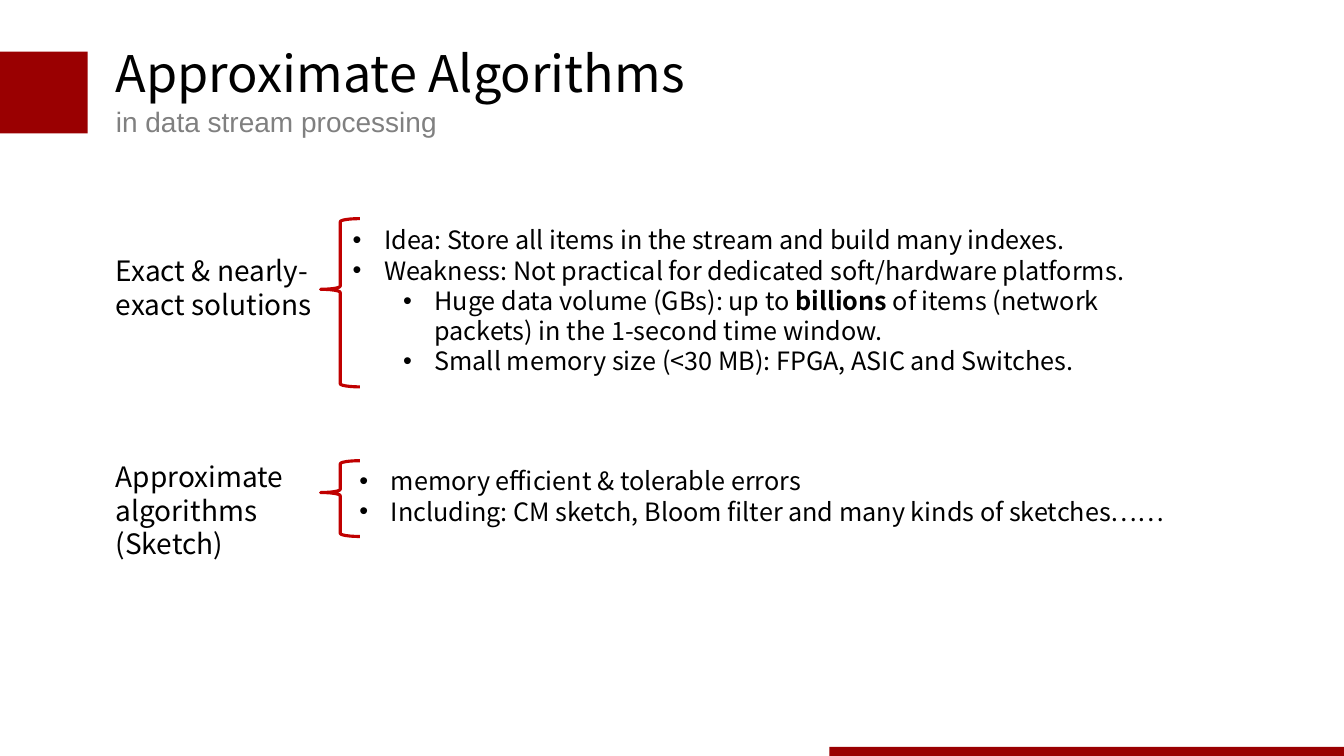
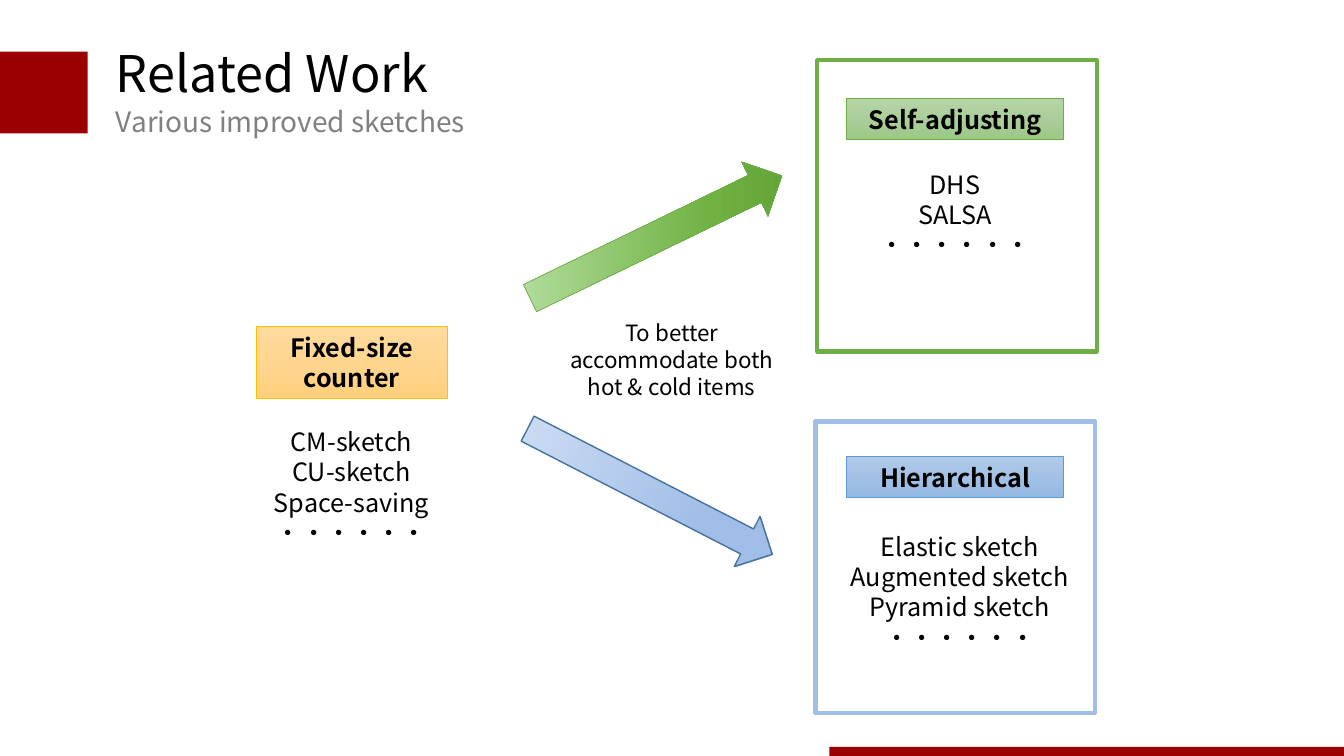
from pptx import Presentation
from pptx.dml.color import RGBColor
from pptx.enum.shapes import MSO_SHAPE as Shape
from pptx.enum.text import MSO_ANCHOR as Anchor, PP_ALIGN as Align
from pptx.oxml import parse_xml
from pptx.oxml.ns import nsdecls, qn
from pptx.util import Cm, Pt
from lxml import etree

COLORS = {
    "band": "9A0001", "brace": "C00000", "text": "000000", "subtitle": "808080",
    "green": "70AD47", "blue": "5B9BD5", "pale blue": "A1BEE9",
    "dark blue": "43739E", "gold": "FFC000",
}
# Gradients: stops as (position, colour, opacity), angle, turns with the shape
GRADIENTS = {
    "gold label": ([(0, "FFDB9E", 100), (50, "FFD590", 100), (100, "FFD07C", 100)], 90, 1),
    "green label": ([(0, "B5D5A7", 100), (50, "AACE9A", 100), (100, "9CC987", 100)], 90, 1),
    "blue label": ([(0, "B1CBE9", 100), (50, "A3C1E5", 100), (100, "93B9E4", 100)], 90, 1),
    "green arrow": ([(0, "B2DC9D", 100), (70, "6FB242", 100), (100, "62A336", 100)], 0, 0),
    "blue arrow": ([(0, "A1BEE9", 50), (70, "A1BEE9", 100), (100, "A1BEE9", 100)], 90, 1),
}
FONT = "Noto Sans CJK SC"
LEFT = 2.67
INDENT, LEVEL_STEP = 0.79, 1.27


def add_shape(slide, kind, box, fill=None, line=None, width=0.5):
    shape = slide.shapes.add_shape(kind, *map(Cm, box))
    shape.shadow.inherit = False
    if fill in GRADIENTS:
        stops, angle, turns = GRADIENTS[fill]
        stop_xml = "".join(
            f'<a:gs pos="{position * 1000}"><a:srgbClr val="{color}">'
            f'<a:alpha val="{opacity * 1000}"/></a:srgbClr></a:gs>'
            for position, color, opacity in stops)
        shape._element.spPr.find(qn("a:prstGeom")).addnext(parse_xml(
            f'<a:gradFill {nsdecls("a")} rotWithShape="{turns}"><a:gsLst>{stop_xml}</a:gsLst>'
            f'<a:lin ang="{angle * 60000}" scaled="0"/></a:gradFill>'))
    elif fill:
        shape.fill.solid()
        shape.fill.fore_color.rgb = RGBColor.from_string(COLORS[fill])
    else:
        shape.fill.background()
    if line:
        shape.line.color.rgb = RGBColor.from_string(COLORS[line])
        shape.line.width = Pt(width)
    else:
        shape.line.fill.background()
    return shape


def write_text(shape, lines, size=18, color="text", font=FONT, align=Align.LEFT,
               bold=False, anchor=Anchor.TOP, bullets=False):
    """Write one paragraph per line; * toggles bold, a leading tab lowers the level."""
    frame = shape.text_frame
    frame.word_wrap, frame.vertical_anchor = True, anchor
    for number, line in enumerate(lines):
        paragraph = frame.paragraphs[0] if number == 0 else frame.add_paragraph()
        paragraph.alignment = align
        if bullets:
            paragraph.level = line.count("\t")
            properties = paragraph._p.get_or_add_pPr()
            properties.set("marL", str(Cm(INDENT + LEVEL_STEP * paragraph.level)))
            properties.set("indent", str(-Cm(INDENT)))
            etree.SubElement(properties, qn("a:buFont")).set("typeface", "Arial")
            etree.SubElement(properties, qn("a:buChar")).set("char", "•")
        for part, text in enumerate(line.strip().split("*")):
            run = paragraph.add_run()
            run.text = text
            values = {"size": Pt(size), "name": font, "bold": bold or part % 2 == 1}
            for name, value in values.items():
                setattr(run.font, name, value)
            run.font.color.rgb = RGBColor.from_string(COLORS[color])
            east_asian = etree.SubElement(run._r.get_or_add_rPr(), qn("a:ea"))
            east_asian.set("typeface", font)


presentation = Presentation()
presentation.slide_width, presentation.slide_height = Cm(33.87), Cm(19.05)

# Title, subtitle and bands of every slide
slides = []
for title, subtitle, subtitle_font in [
    ("Approximate Algorithms", "in data stream processing", "Arial"),
    ("Related Work", "Various improved sketches", FONT),
]:
    slide = presentation.slides.add_slide(presentation.slide_layouts[6])
    slides.append(slide)
    title_box = slide.shapes.add_textbox(Cm(LEFT), Cm(0.94), Cm(15.57), Cm(1.8))
    write_text(title_box, [title], size=36)
    subtitle_box = slide.shapes.add_textbox(Cm(LEFT), Cm(2.51), Cm(14.17), Cm(1.12))
    write_text(subtitle_box, [subtitle], size=20, color="subtitle", font=subtitle_font)
    add_shape(slide, Shape.RECTANGLE, (0, 1.3, 2.21, 2.06), "band")
    add_shape(slide, Shape.RECTANGLE, (20.9, 18.82, 12.97, 0.23), "band")
algorithms_slide, related_slide = slides

# Approximate Algorithms: label, brace and bullets of each group
for label, label_top, label_width, brace_top, brace_height, bullet_box, bullets in [
    (["Exact & nearly-exact solutions"], 6.27, 5.92, 5.51, 4.24, (8.64, 5.54, 20.7, 4.88), [
        "Idea: Store all items in the stream and build many indexes.",
        "Weakness: Not practical for dedicated soft/hardware platforms.",
        "\tHuge data volume (GBs): up to *billions* of items (network packets) "
        "in the 1-second time window.",
        "\tSmall memory size (<30 MB): FPGA, ASIC and Switches.",
    ]),
    (["Approximate algorithms", "(Sketch)"], 11.46, 5.41, 11.61, 1.91, (8.81, 11.61, 21.9, 1.8), [
        "memory efficient & tolerable errors",
        "Including: CM sketch, Bloom filter and many kinds of sketches……",
    ]),
]:
    brace = add_shape(algorithms_slide, Shape.LEFT_BRACE, (8.08, brace_top, 0.99, brace_height),
                      line="brace", width=2.25)
    brace.adjustments[0], brace.adjustments[1] = 0.08, 0.42
    label_box = algorithms_slide.shapes.add_textbox(
        Cm(LEFT), Cm(label_top), Cm(label_width), Cm(2.82))
    write_text(label_box, label, size=20)
    write_text(algorithms_slide.shapes.add_textbox(*map(Cm, bullet_box)), bullets, bullets=True)

# Related Work: frames of the two improved families
for frame_box, color in [((20.6, 1.52, 7.04, 7.34), "green"),
                         ((20.55, 10.62, 7.04, 7.34), "pale blue")]:
    add_shape(related_slide, Shape.RECTANGLE, frame_box, line=color, width=3)

# Coloured heading and sketch names of each family
for heading, heading_box, fill, line, names, names_box in [
    (["Fixed-size", "counter"], (6.45, 8.23, 4.83, 1.8), "gold label", "gold",
     ["CM-sketch", "CU-sketch", "Space-saving"], (5.94, 10.62, 5.84, 3.33)),
    (["Self-adjusting"], (21.34, 2.49, 5.46, 1.02), "green label", "green",
     ["DHS", "SALSA"], (21.59, 4.14, 4.95, 2.57)),
    (["Hierarchical"], (21.34, 11.51, 5.46, 1.02), "blue label", "blue",
     ["Elastic sketch", "Augmented sketch", "Pyramid sketch"], (20.17, 13.26, 8.03, 3.33)),
]:
    heading_shape = add_shape(related_slide, Shape.RECTANGLE, heading_box, fill, line)
    write_text(heading_shape, heading, align=Align.CENTER, bold=True, anchor=Anchor.MIDDLE)
    write_text(related_slide.shapes.add_textbox(*map(Cm, names_box)),
               names + ["······"], align=Align.CENTER)

# Arrows from the fixed-size counter, with the reason between them
for arrow_box, rotation, fill, line, width in [
    ((15.77, 2.44, 1.52, 7.06), 244.1, "green arrow", "green", 0.5),
    ((15.67, 8.92, 1.42, 6.93), 297.2, "blue arrow", "dark blue", 1),
]:
    arrow = add_shape(related_slide, Shape.DOWN_ARROW, arrow_box, fill, line, width)
    arrow.rotation = rotation
reason_box = related_slide.shapes.add_textbox(Cm(13.69), Cm(7.92), Cm(6.48), Cm(2.31))
write_text(reason_box, ["To better accommodate both hot & cold items"],
           size=16, align=Align.CENTER)

presentation.save("out.pptx")
